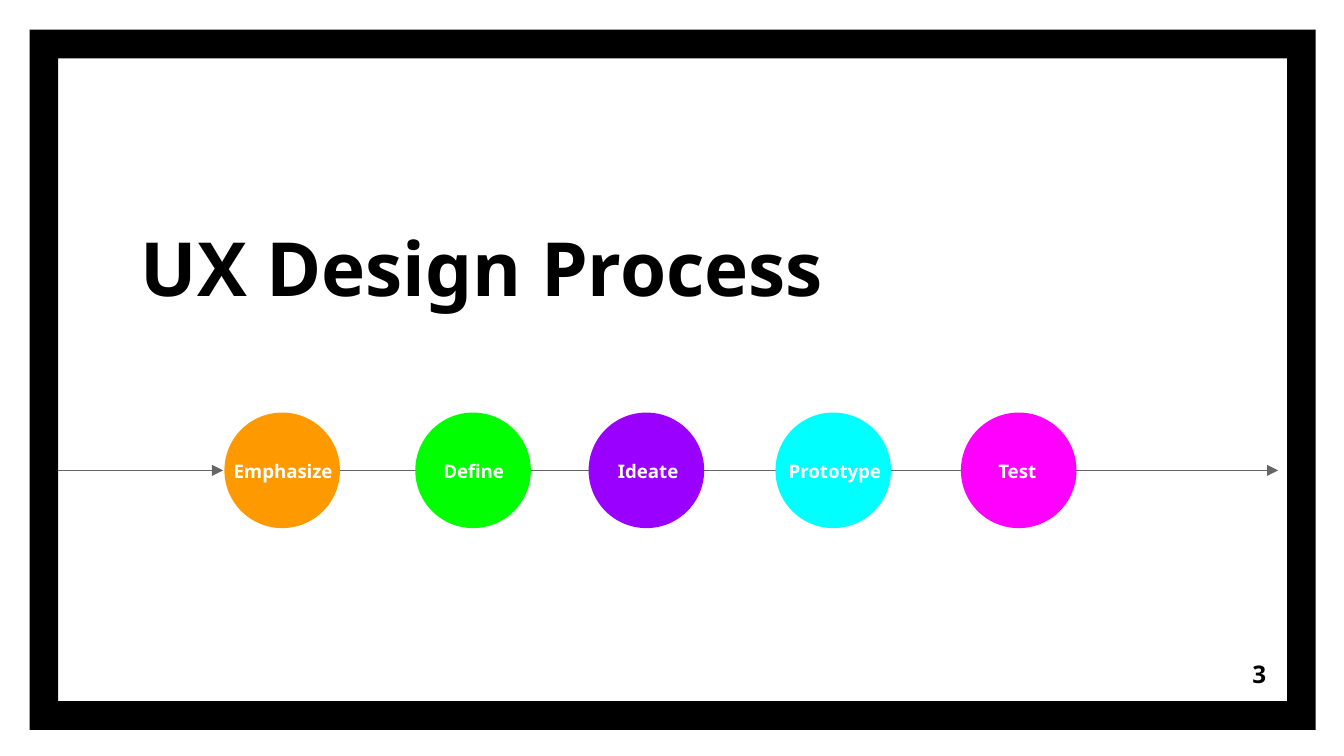
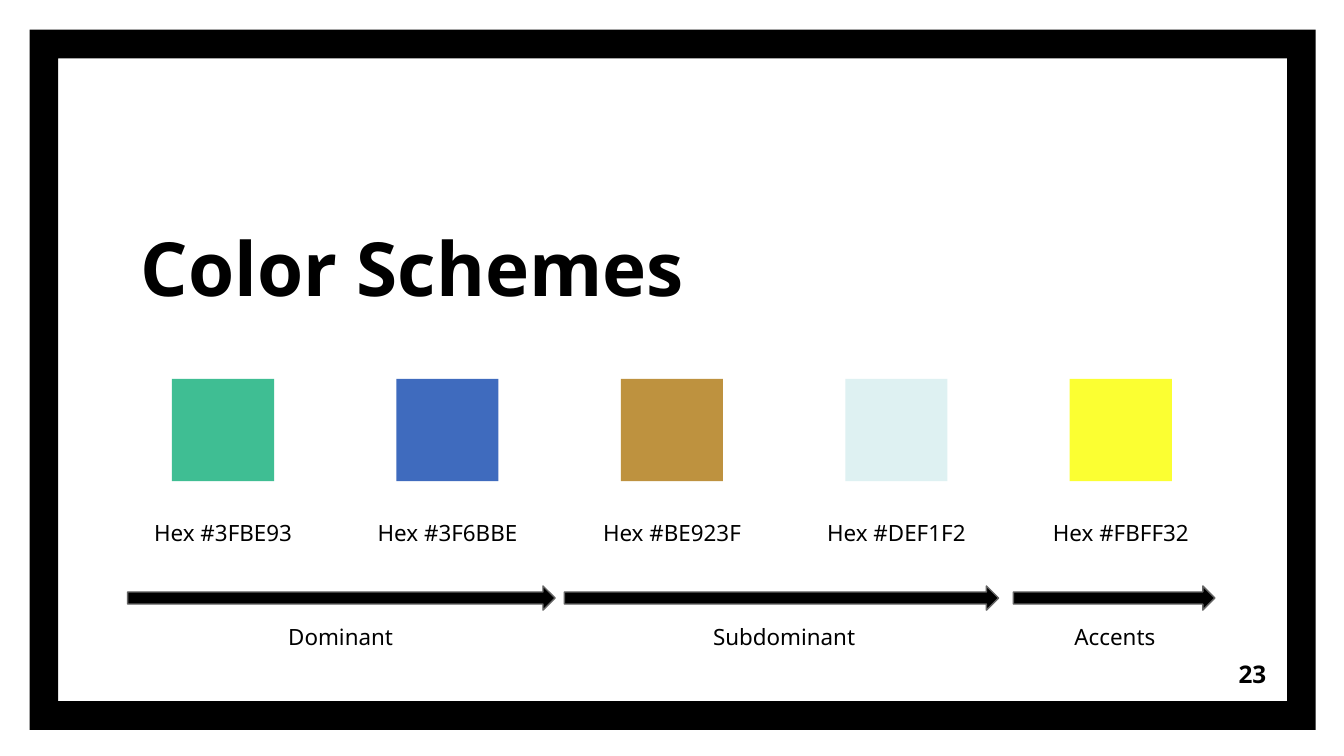
from lxml.etree import SubElement
from pptx import Presentation
from pptx.dml.color import RGBColor
from pptx.enum.shapes import MSO_CONNECTOR, MSO_SHAPE as SHAPE
from pptx.enum.text import MSO_ANCHOR as ANCHOR, PP_ALIGN as ALIGN
from pptx.oxml.ns import qn
from pptx.util import Inches, Pt

FONT = "Noto Sans"
BLACK = RGBColor(0x00, 0x00, 0x00)
WHITE = RGBColor(0xFF, 0xFF, 0xFF)
GRAY = RGBColor(0x66, 0x66, 0x66)
ORANGE = RGBColor(0xFF, 0x99, 0x00)
GREEN = RGBColor(0x00, 0xFF, 0x00)
PURPLE = RGBColor(0x99, 0x00, 0xFF)
CYAN = RGBColor(0x00, 0xFF, 0xFF)
MAGENTA = RGBColor(0xFF, 0x00, 0xFF)

TITLE = {"size": Pt(40), "bold": True}
NUMBER = {"size": Pt(13), "bold": True}
STEP = {"size": Pt(10), "bold": True}
CAPTION = {"size": Pt(12), "bold": False}


def add_block(slide, kind, left, top, width, height, fill):
    """Add a filled preset shape without outline or shadow."""
    block = slide.shapes.add_shape(
        kind, Inches(left), Inches(top), Inches(width), Inches(height))
    block.shadow.inherit = False
    block.fill.solid()
    block.fill.fore_color.rgb = fill
    block.line.fill.background()
    return block


def add_label(slide, text, left, top, width, height, style,
              color=BLACK, align=ALIGN.LEFT, anchor=ANCHOR.TOP):
    frame = slide.shapes.add_textbox(
        Inches(left), Inches(top), Inches(width), Inches(height)).text_frame
    frame.word_wrap = True
    frame.vertical_anchor = anchor
    for side in ("left", "top", "right", "bottom"):
        setattr(frame, f"margin_{side}", Inches(0.1))
    paragraph = frame.paragraphs[0]
    paragraph.alignment = align
    run = paragraph.add_run()
    run.text = text
    run.font.name = FONT
    run.font.color.rgb = color
    for key, value in style.items():
        setattr(run.font, key, value)


deck = Presentation()
deck.slide_width = Inches(10)
deck.slide_height = deck.slide_width * 9 // 16

# Border, title and page number shared by every slide
for title, number in (("UX Design Process", "3"), ("Color Schemes", "23")):
    slide = deck.slides.add_slide(deck.slide_layouts[6])
    border = add_block(slide, SHAPE.FRAME, 0.22, 0.22, 9.57, 5.21, BLACK)
    border.adjustments[0] = 0.041
    add_label(slide, title, 0.95, 0.93, 5.57, 1.49, TITLE, anchor=ANCHOR.BOTTOM)
    add_label(slide, number, 8.92, 4.8, 0.6, 0.43, NUMBER,
              align=ALIGN.RIGHT, anchor=ANCHOR.MIDDLE)
process, schemes = deck.slides

# UX design process: arrows run behind the step circles
AXIS = 3.5
DIAMETER = 0.86
for start, end in ((2.14, 9.51), (0.43, 1.66)):
    arrow = process.shapes.add_connector(
        MSO_CONNECTOR.STRAIGHT,
        Inches(start), Inches(AXIS), Inches(end), Inches(AXIS))
    arrow.line.color.rgb = GRAY
    arrow.line.width = Pt(0.75)
    properties = arrow.element.spPr
    SubElement(properties.find(qn("a:ln")), qn("a:tailEnd"), type="triangle")
    SubElement(properties, qn("a:effectLst"))

steps = (
    ("Emphasize", 1.67, 1.64, ORANGE),
    ("Define", 3.09, 3.2, GREEN),
    ("Ideate", 4.38, 4.5, PURPLE),
    ("Prototype", 5.77, 5.77, CYAN),
    ("Test", 7.15, 7.33, MAGENTA),
)
for step, circle_left, label_left, color in steps:
    add_block(process, SHAPE.OVAL, circle_left, AXIS - DIAMETER / 2,
              DIAMETER, DIAMETER, color)
    add_label(process, step, label_left, 3.34, 1.26, 0.43, STEP, color=WHITE)

# Color schemes: each swatch is filled with the colour its caption names
SWATCH = 0.76
PITCH = 1.67
CAPTION_WIDTH = 1.75
for column, code in enumerate(("3FBE93", "3F6BBE", "BE923F", "DEF1F2", "FBFF32")):
    left = 1.28 + column * PITCH
    add_block(schemes, SHAPE.RECTANGLE, left, 2.82, SWATCH, SWATCH,
              RGBColor.from_string(code))
    add_label(schemes, f"Hex #{code}", left + (SWATCH - CAPTION_WIDTH) / 2, 3.76,
              CAPTION_WIDTH, 0.52, CAPTION, align=ALIGN.CENTER)

roles = (
    ("Dominant", 1.66, 0.95, 3.18),
    ("Subdominant", 4.96, 4.2, 3.23),
    ("Accents", 7.42, 7.54, 1.5),
)
for role, label_left, arrow_left, length in roles:
    add_label(schemes, role, label_left, 4.54, CAPTION_WIDTH, 0.52, CAPTION,
              align=ALIGN.CENTER)
    span = add_block(schemes, SHAPE.RIGHT_ARROW, arrow_left, 4.36, length, 0.18, BLACK)
    span.line.color.rgb = GRAY
    span.line.width = Pt(0.75)

deck.save("out.pptx")
